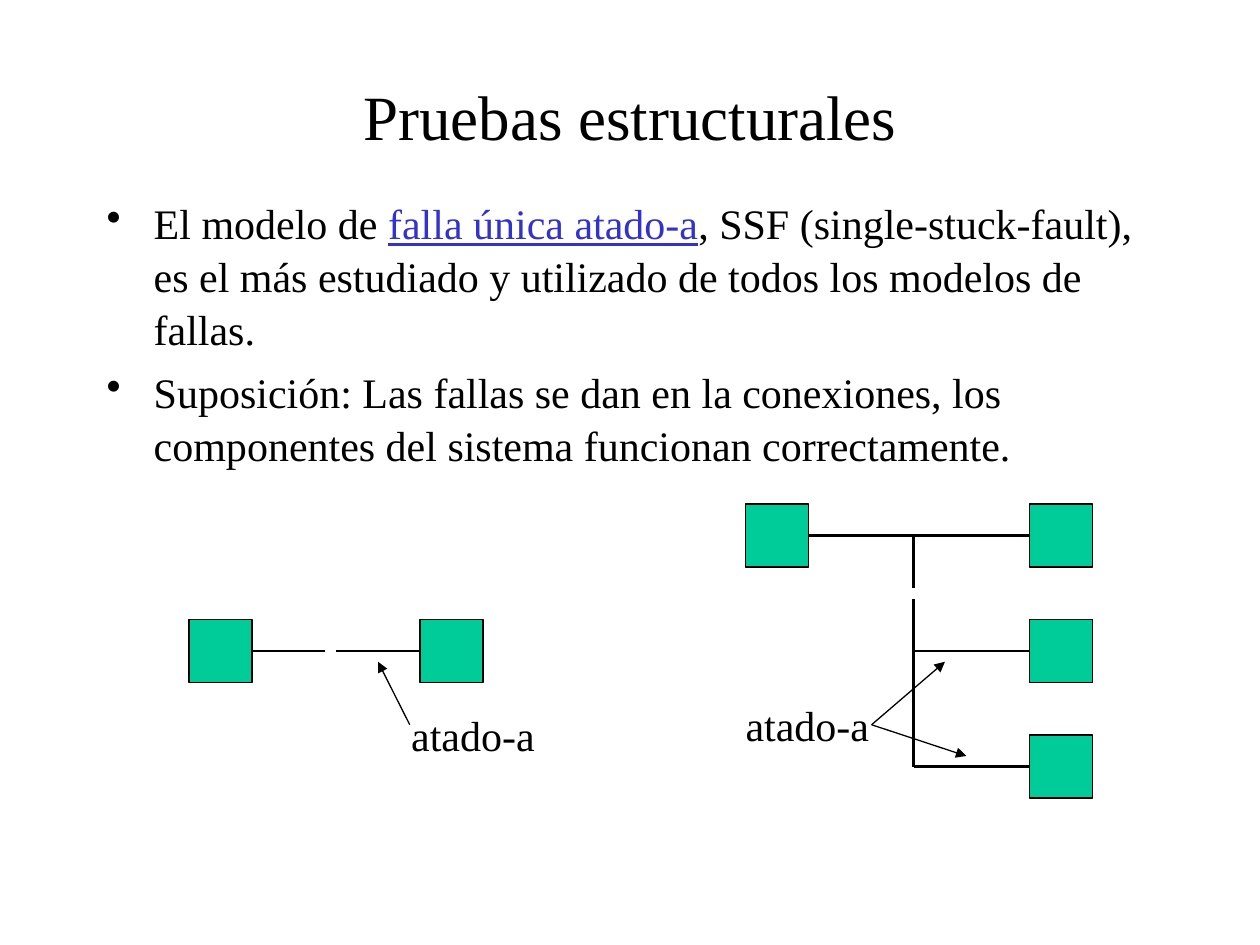
from dataclasses import dataclass

from lxml.etree import SubElement
from pptx import Presentation
from pptx.dml.color import RGBColor
from pptx.enum.shapes import MSO_CONNECTOR, MSO_SHAPE
from pptx.enum.text import MSO_ANCHOR, MSO_AUTO_SIZE, PP_ALIGN
from pptx.oxml.ns import qn
from pptx.util import Cm, Pt


@dataclass(frozen=True)
class Theme:
    ink: RGBColor = RGBColor(0x00, 0x00, 0x00)
    accent: RGBColor = RGBColor(0x33, 0x33, 0xCC)
    component: RGBColor = RGBColor(0x00, 0xCC, 0x99)
    font: str = "Times New Roman"
    title_size: Pt = Pt(36)
    body_size: Pt = Pt(24)
    thin: Pt = Pt(0.75)
    thick: Pt = Pt(1.5)


THEME = Theme()
SIDE = Cm(1.27)
HALF = SIDE // 2
TOP, LEFT, BOTTOM, RIGHT = range(4)
BULLETS = [
    [
        ("El modelo de ", False),
        ("falla única atado-a", True),
        (
            ", SSF (single-stuck-fault), es el más estudiado y utilizado "
            "de todos los modelos de fallas.",
            False,
        ),
    ],
    [
        (
            "Suposición: Las fallas se dan en la conexiones, los componentes "
            "del sistema funcionan correctamente.",
            False,
        )
    ],
]


def style_font(paragraph, size):
    paragraph.font.name = THEME.font
    paragraph.font.size = size
    paragraph.font.color.rgb = THEME.ink


def add_title(slide, left, top, width, height):
    title = slide.shapes.title
    title.left, title.top, title.width, title.height = left, top, width, height
    title.text_frame.text = "Pruebas estructurales"
    title.text_frame.vertical_anchor = MSO_ANCHOR.MIDDLE
    heading = title.text_frame.paragraphs[0]
    heading.alignment = PP_ALIGN.CENTER
    style_font(heading, THEME.title_size)


def add_bullets(slide, left, top, width, height):
    frame = slide.shapes.add_textbox(left, top, width, height).text_frame
    frame.word_wrap = True
    for index, pieces in enumerate(BULLETS):
        bullet = frame.add_paragraph() if index else frame.paragraphs[0]
        style_font(bullet, THEME.body_size)
        bullet.space_before = Pt(6)
        bullet.line_spacing = 1.05
        properties = bullet._p.get_or_add_pPr()
        properties.set("marL", str(Cm(0.95)))
        properties.set("indent", str(-Cm(0.95)))
        mark = properties.makeelement(qn("a:buChar"), {"char": "•"})
        properties.insert_element_before(mark, "a:tabLst", "a:defRPr", "a:extLst")
        for text, is_term in pieces:
            run = bullet.add_run()
            run.text = text
            if is_term:
                run.font.color.rgb = THEME.accent
                run.font.underline = True


def add_component(slide, left, top):
    component = slide.shapes.add_shape(MSO_SHAPE.RECTANGLE, left, top, SIDE, SIDE)
    component.shadow.inherit = False
    component.fill.solid()
    component.fill.fore_color.rgb = THEME.component
    component.line.color.rgb = THEME.ink
    component.line.width = THEME.thin
    return component


def add_line(slide, start, end, width=THEME.thick):
    line = slide.shapes.add_connector(MSO_CONNECTOR.STRAIGHT, *start, *end)
    line.line.color.rgb = THEME.ink
    line.line.width = width
    SubElement(line._element.spPr, qn("a:effectLst"))
    return line


def add_arrow(slide, start, end):
    arrow = add_line(slide, start, end, THEME.thin)
    SubElement(arrow.line._get_or_add_ln(), qn("a:tailEnd"), type="triangle")


def add_fault_label(slide, left, top):
    frame = slide.shapes.add_textbox(left, top, Cm(3), SIDE).text_frame
    frame.word_wrap = False
    frame.auto_size = MSO_AUTO_SIZE.SHAPE_TO_FIT_TEXT
    frame.text = "atado-a"
    style_font(frame.paragraphs[0], THEME.body_size)


def add_single_connection(slide, left, top, width):
    driver = add_component(slide, left, top)
    receiver = add_component(slide, left + width - SIDE, top)
    wire_y = top + HALF
    output = add_line(slide, (left + SIDE, wire_y), (left + Cm(2.75), wire_y))
    output.begin_connect(driver, RIGHT)
    stuck = add_line(slide, (left + Cm(2.96), wire_y), (receiver.left, wire_y))
    stuck.end_connect(receiver, LEFT)
    add_arrow(
        slide,
        (left + Cm(4.45), top + Cm(2.12)),
        (left + Cm(3.81), top + Cm(0.85)),
    )
    add_fault_label(slide, left + Cm(4.23), top + Cm(1.69))


def add_branched_connection(slide, left, top, width, height):
    driver = add_component(slide, left, top)
    row_step = (height - SIDE) // 2
    receivers = [
        add_component(slide, left + width - SIDE, top + row * row_step)
        for row in range(3)
    ]
    branch_x = left + Cm(3.39)
    row_y = [receiver.top + HALF for receiver in receivers]

    trunk = add_line(slide, (left + SIDE, row_y[0]), (receivers[0].left, row_y[0]))
    trunk.begin_connect(driver, RIGHT)
    trunk.end_connect(receivers[0], LEFT)
    add_line(slide, (branch_x, row_y[0]), (branch_x, top + Cm(1.69)))
    add_line(slide, (branch_x, top + Cm(1.91)), (branch_x, row_y[2]))
    for receiver, y in zip(receivers[1:], row_y[1:]):
        branch = add_line(slide, (branch_x, y), (receiver.left, y))
        branch.end_connect(receiver, LEFT)

    add_fault_label(slide, left - Cm(0.25), top + Cm(3.81))
    for x, y in ((Cm(4.02), Cm(3.18)), (Cm(4.45), Cm(5.08))):
        add_arrow(slide, (left + Cm(2.54), top + Cm(4.45)), (left + x, top + y))


def main():
    presentation = Presentation()
    presentation.slide_width = Cm(25.4)
    presentation.slide_height = Cm(19.05)
    slide = presentation.slides.add_slide(presentation.slide_layouts[5])
    add_title(slide, Cm(1.9), Cm(1.06), Cm(21.6), Cm(2.54))
    add_bullets(slide, Cm(1.9), Cm(3.81), Cm(21.6), Cm(13.12))
    add_single_connection(slide, Cm(3.81), Cm(12.49), Cm(5.93))
    add_branched_connection(slide, Cm(15.03), Cm(10.16), Cm(6.99), Cm(5.93))
    presentation.save("out.pptx")


if __name__ == "__main__":
    main()
